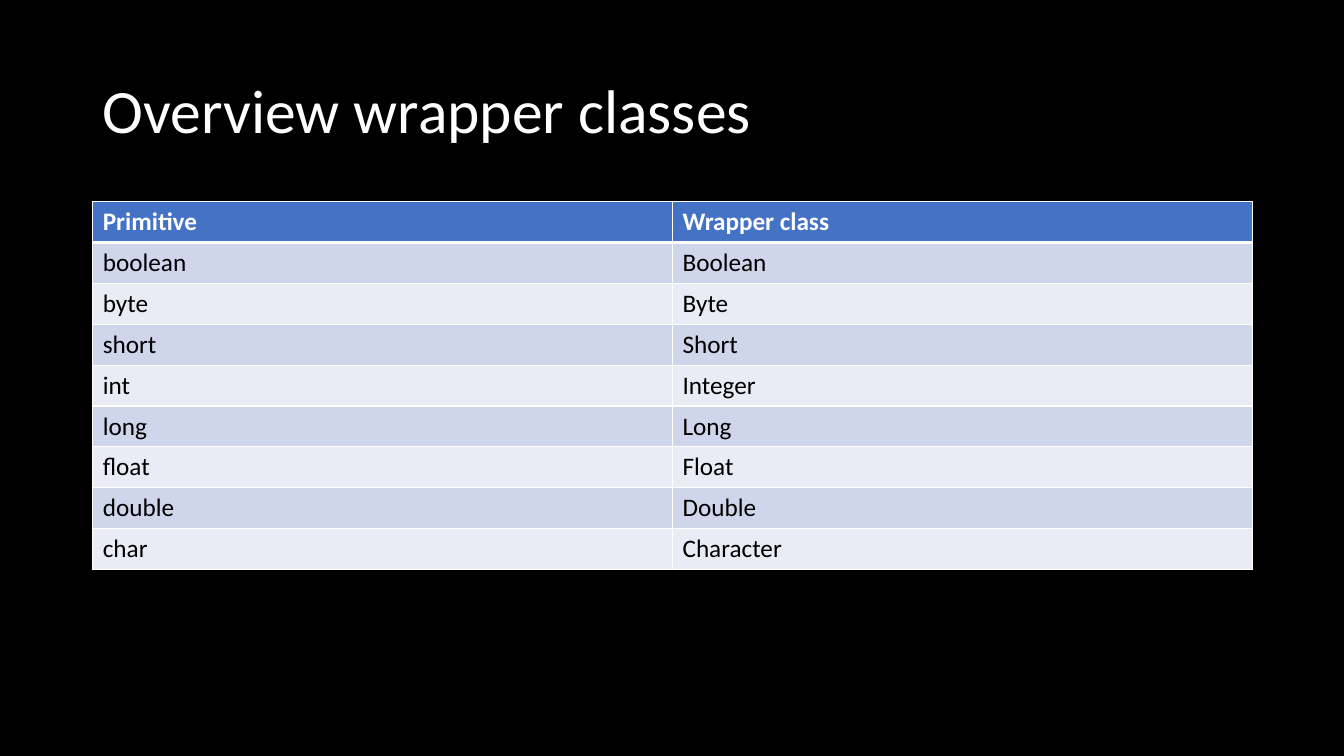
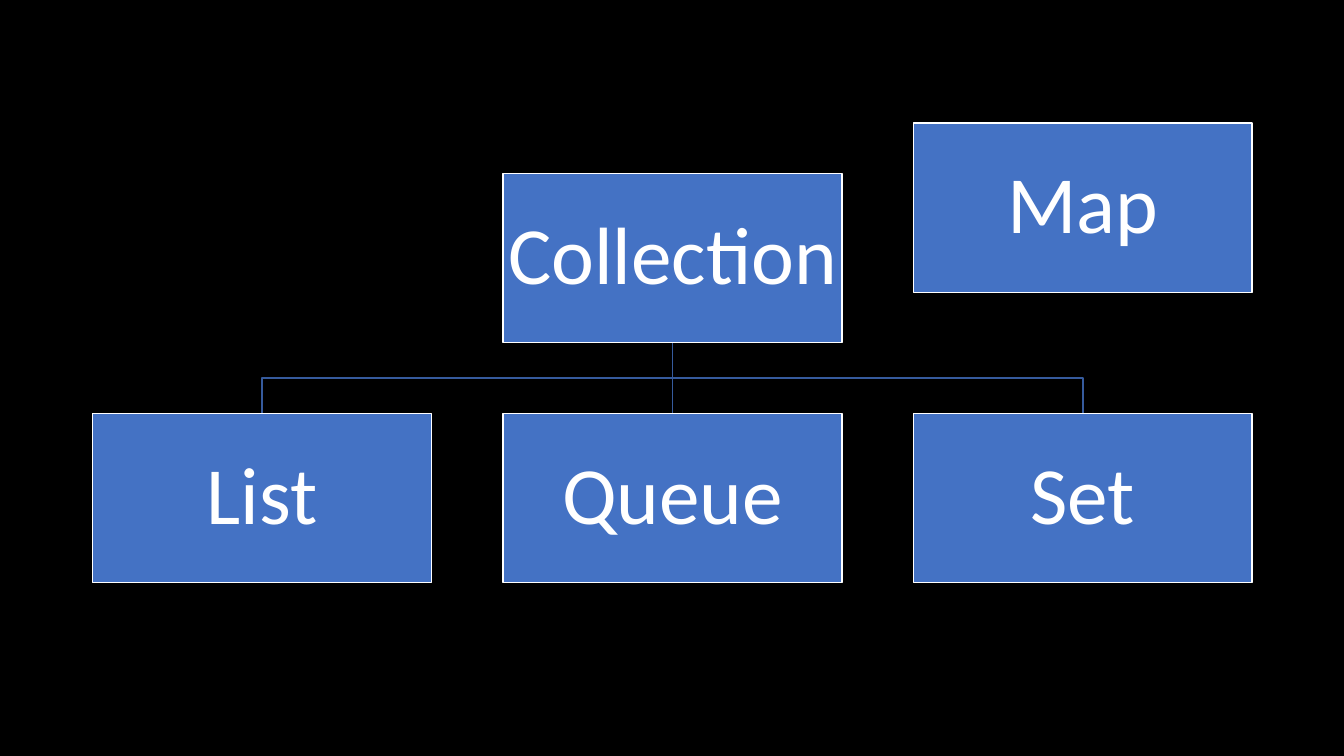
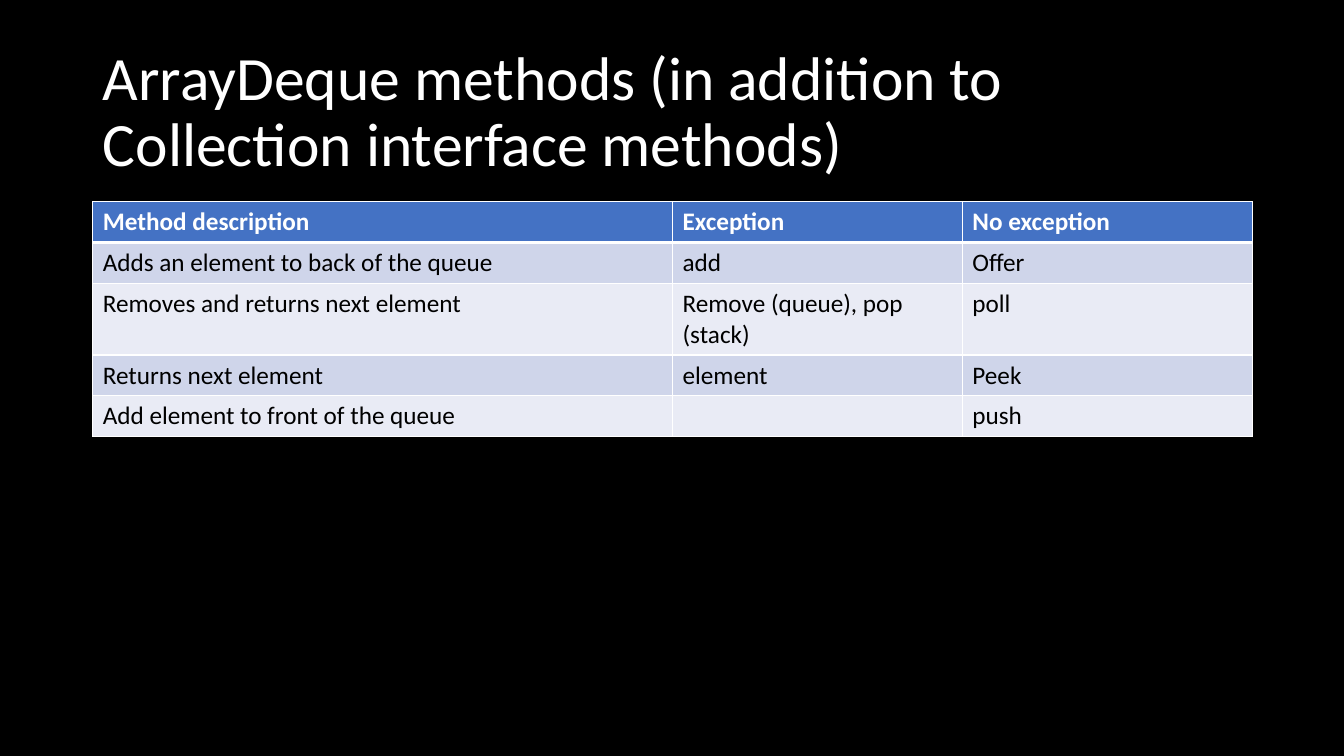
import pptx
import pptx.util
import pptx.dml.color
import pptx.enum.shapes
import pptx.enum.text
import pptx.oxml
import pptx.oxml.ns

Inches = pptx.util.Inches
Pt = pptx.util.Pt

FONT = "Calibri"
COLORS = {
    "background": "000000",
    "white": "FFFFFF",
    "black": "000000",
    "blue": "4472C4",
    "branch": "365B9D",
    "band_dark": "CFD5EA",
    "band_light": "E9EBF5",
}

# Shared regions: left, top, width, height
MARGIN = Inches(0.92)
CONTENT_WIDTH = Inches(11.5)
TITLE_BOX = (MARGIN, Inches(0.4), CONTENT_WIDTH, Inches(1.45))
TABLE_BOX = (MARGIN, Inches(2), CONTENT_WIDTH, Inches(3.65))
DIAGRAM_BOX = (MARGIN, Inches(1.22), CONTENT_WIDTH, Inches(4.56))
ROW_HEIGHT = TABLE_BOX[3] // 9

WRAPPER_CLASSES = [
    ("Primitive", "Wrapper class"),
    ("boolean", "Boolean"),
    ("byte", "Byte"),
    ("short", "Short"),
    ("int", "Integer"),
    ("long", "Long"),
    ("float", "Float"),
    ("double", "Double"),
    ("char", "Character"),
]
DEQUE_METHODS = [
    ("Method description", "Exception", "No exception"),
    ("Adds an element to back of the queue", "add", "Offer"),
    ("Removes and returns next element", "Remove (queue), pop (stack)", "poll"),
    ("Returns next element", "element", "Peek"),
    ("Add element to front of the queue", "", "push"),
]


def rgb(name):
    return pptx.dml.color.RGBColor.from_string(COLORS[name])


def format_text(frame, size, color, bold=False):
    for para in frame.paragraphs:
        for span in para.runs:
            span.font.name = FONT
            span.font.size = Pt(size)
            span.font.bold = bold
            span.font.color.rgb = rgb(color)


def add_page(deck, layout_name):
    return deck.slides.add_slide(deck.slide_layouts.get_by_name(layout_name))


def fill_title(page, box, text):
    title = page.shapes.title
    title.left, title.top, title.width, title.height = box
    frame = title.text_frame
    frame.text = text
    frame.word_wrap = True
    frame.auto_size = pptx.enum.text.MSO_AUTO_SIZE.NONE
    frame.vertical_anchor = pptx.enum.text.MSO_ANCHOR.MIDDLE
    frame.paragraphs[0].alignment = pptx.enum.text.PP_ALIGN.LEFT
    frame.paragraphs[0].line_spacing = 0.9
    format_text(frame, 44, "white")


def add_cell_borders(cell, top, bottom):
    properties = cell._tc.get_or_add_tcPr()
    for side, points in (("L", 1), ("R", 1), ("T", top), ("B", bottom)):
        properties.append(pptx.oxml.parse_xml(
            f'<a:ln{side} {pptx.oxml.ns.nsdecls("a")} w="{Pt(points)}">'
            f'<a:solidFill><a:srgbClr val="{COLORS["white"]}"/></a:solidFill>'
            f'</a:ln{side}>'))


def add_banded_table(page, box, rows, shares):
    """Header row plus alternating bands; shares split the box width."""
    left, top, width, _ = box
    table = page.shapes.add_table(
        len(rows), len(shares), left, top, width, ROW_HEIGHT * len(rows)).table
    for column, share in zip(table.columns, shares):
        column.width = int(width * share)
    for row_index, texts in enumerate(rows):
        header = row_index == 0
        band = "band_dark" if row_index % 2 else "band_light"
        for column_index, text in enumerate(texts):
            cell = table.cell(row_index, column_index)
            cell.text_frame.text = text
            format_text(cell.text_frame, 18, "white" if header else "black", header)
            # The rule under the header is heavier than the others
            add_cell_borders(cell, 3 if row_index == 1 else 1, 3 if header else 1)
            cell.fill.solid()
            cell.fill.fore_color.rgb = rgb("blue" if header else band)


def build_table_page(deck, title, rows, shares):
    page = add_page(deck, "Title Only")
    fill_title(page, TITLE_BOX, title)
    add_banded_table(page, TABLE_BOX, rows, shares)


def add_node(page, box, text):
    node = page.shapes.add_shape(pptx.enum.shapes.MSO_SHAPE.RECTANGLE, *box)
    node.shadow.inherit = False
    node.fill.solid()
    node.fill.fore_color.rgb = rgb("blue")
    node.line.color.rgb = rgb("white")
    node.line.width = Pt(1)
    frame = node.text_frame
    frame.text = text
    frame.word_wrap = True
    frame.margin_left = frame.margin_right = Inches(0.04)
    frame.margin_top = frame.margin_bottom = Inches(0.04)
    frame.vertical_anchor = pptx.enum.text.MSO_ANCHOR.MIDDLE
    frame.paragraphs[0].alignment = pptx.enum.text.PP_ALIGN.CENTER
    frame.paragraphs[0].line_spacing = 0.9
    format_text(frame, 58, "white")


def add_branch(page, start, end):
    """Line from parent to child, bent halfway down when they are not aligned."""
    (start_x, start_y), (end_x, end_y) = start, end
    if start_x == end_x:
        branch = page.shapes.add_connector(
            pptx.enum.shapes.MSO_CONNECTOR.STRAIGHT, *start, *end)
        branch._element.spPr.append(pptx.oxml.parse_xml(
            f'<a:effectLst {pptx.oxml.ns.nsdecls("a")}/>'))
    else:
        middle_y = (start_y + end_y) // 2
        builder = page.shapes.build_freeform(start_x, start_y)
        builder.add_line_segments(
            [(start_x, middle_y), (end_x, middle_y), end], close=False)
        branch = builder.convert_to_shape()
        branch.shadow.inherit = False
        branch.fill.background()
    branch.line.color.rgb = rgb("branch")
    branch.line.width = Pt(1)


def add_hierarchy(page, box, root, children, separate):
    """Root centred over a row of children; a separate node at top right."""
    left, top, width, height = box
    node_width, node_height = Inches(3.36), Inches(1.68)
    step = (width - node_width) // (len(children) - 1)
    lefts = [left + step * index for index in range(len(children))]
    root_left = left + (width - node_width) // 2
    root_top = top + Inches(0.5)
    child_top = top + height - node_height

    half = node_width // 2
    for child_left in lefts:
        add_branch(page, (root_left + half, root_top + node_height),
                   (child_left + half, child_top))

    nodes = [(root_left, root_top, root)]
    nodes += [(child_left, child_top, text) for child_left, text in zip(lefts, children)]
    nodes.append((lefts[-1], top, separate))
    for node_left, node_top, text in nodes:
        add_node(page, (node_left, node_top, node_width, node_height), text)


def main():
    deck = pptx.Presentation()
    deck.slide_width, deck.slide_height = Inches(13.33), Inches(7.5)
    background = deck.slide_master.background.fill
    background.solid()
    background.fore_color.rgb = rgb("background")

    build_table_page(deck, "Overview wrapper classes", WRAPPER_CLASSES, (0.5, 0.5))
    add_hierarchy(add_page(deck, "Blank"), DIAGRAM_BOX,
                  "Collection", ("List", "Queue", "Set"), "Map")
    build_table_page(
        deck, "ArrayDeque methods (in addition to Collection interface methods)",
        DEQUE_METHODS, (0.5, 0.25, 0.25))
    deck.save("out.pptx")


main()
